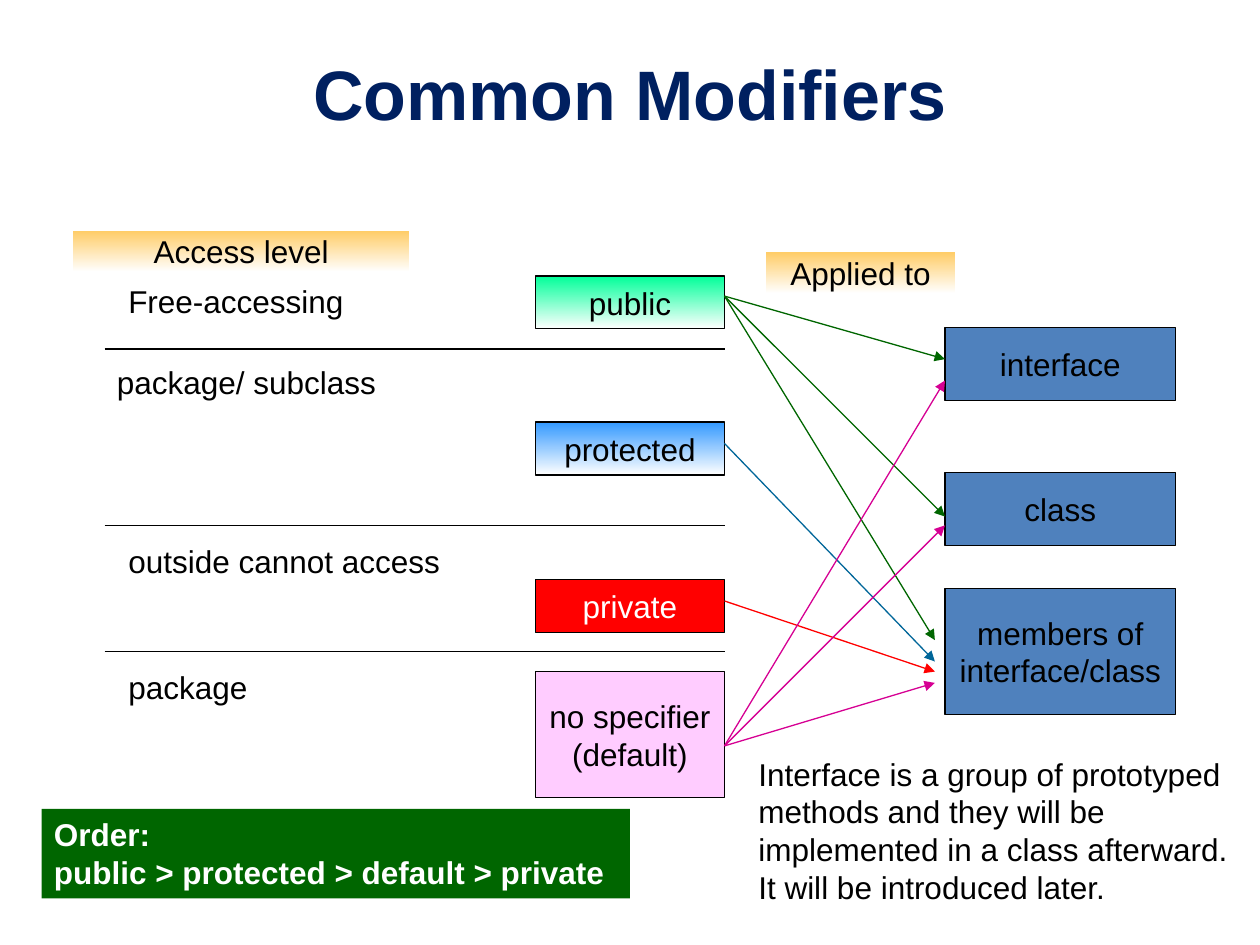
from lxml.etree import SubElement
from pptx import Presentation
from pptx.dml.color import RGBColor
from pptx.enum.shapes import MSO_CONNECTOR, MSO_SHAPE
from pptx.enum.text import MSO_ANCHOR, PP_ALIGN
from pptx.oxml.ns import qn
from pptx.util import Inches, Pt

BLACK = RGBColor(0x00, 0x00, 0x00)
WHITE = RGBColor(0xFF, 0xFF, 0xFF)
NAVY = RGBColor(0x00, 0x20, 0x60)
AMBER = RGBColor(0xFF, 0xCC, 0x66)
MINT = RGBColor(0x00, 0xFF, 0x99)
SKY = RGBColor(0x33, 0x99, 0xFF)
RED = RGBColor(0xFF, 0x00, 0x00)
PINK = RGBColor(0xFF, 0xCC, 0xFF)
BLUE = RGBColor(0x4F, 0x81, 0xBD)
GREEN = RGBColor(0x00, 0x66, 0x00)
TEAL = RGBColor(0x00, 0x66, 0x99)
MAGENTA = RGBColor(0xD6, 0x00, 0x93)


def write(sp, text, color=BLACK, size=18, bold=False, align=PP_ALIGN.LEFT,
          anchor=MSO_ANCHOR.TOP, wrap=True):
    """Put formatted text into a shape."""
    tf = sp.text_frame
    tf.text = text
    tf.word_wrap = wrap
    tf.vertical_anchor = anchor
    for p in tf.paragraphs:
        p.alignment = align
        for r in p.runs:
            r.font.name = "Arial"
            r.font.size = Pt(size)
            r.font.bold = bold
            r.font.color.rgb = color


def add_text(s, x, y, w, h, text, **style):
    """Add a wrapping text box."""
    write(s.shapes.add_textbox(Inches(x), Inches(y), Inches(w), Inches(h)), text, **style)


def add_rect(s, x, y, w, h, fill, faded=False, outlined=True):
    """Add a rectangle with a plain fill or one fading to white downwards."""
    sp = s.shapes.add_shape(MSO_SHAPE.RECTANGLE, Inches(x), Inches(y), Inches(w), Inches(h))
    sp.shadow.inherit = False
    if faded:
        sp.fill.gradient()
        sp.fill.gradient_angle = 270
        for stop, color, position in zip(sp.fill.gradient_stops, (fill, WHITE), (0, 1)):
            stop.color.rgb = color
            stop.position = position
    else:
        sp.fill.solid()
        sp.fill.fore_color.rgb = fill
    if outlined:
        sp.line.color.rgb = BLACK
        sp.line.width = Pt(0.75)
    else:
        sp.line.fill.background()
    return sp


def add_label(s, x, y, w, h, text, fill, color=BLACK, **look):
    """Add a rectangle with centred text."""
    write(add_rect(s, x, y, w, h, fill, **look), text, color,
          align=PP_ALIGN.CENTER, anchor=MSO_ANCHOR.MIDDLE, wrap=False)


def add_line(s, x1, y1, x2, y2, color=BLACK, arrow=False):
    """Add a thin straight line, with an arrowhead if asked."""
    c = s.shapes.add_connector(MSO_CONNECTOR.STRAIGHT, Inches(x1), Inches(y1),
                               Inches(x2), Inches(y2))
    c.line.color.rgb = color
    c.line.width = Pt(0.75)
    if arrow:
        SubElement(c.line._get_or_add_ln(), qn("a:tailEnd"), type="triangle")
    SubElement(c._element.spPr, qn("a:effectLst"))


def add_access_levels(s, x, y, w):
    """Place the access level header, its entries and the dividing lines."""
    add_label(s, x, y, 2.67, 0.33, "Access level", AMBER, faded=True, outlined=False)
    for dx, dy, text in [(0.34, 0.36, "Free-accessing"), (0.25, 1, "package/ subclass"),
                         (0.34, 2.42, "outside cannot access"), (0.34, 3.42, "package")]:
        add_text(s, x + dx, y + dy, 3, 0.4, text)
    for dy in (0.94, 2.34, 3.34):
        add_line(s, x + 0.25, y + dy, x + w, y + dy)


def add_modifiers(s, x, y, w):
    """Place the column of modifiers."""
    for dy, h, text, fill, color, faded in [
            (0, 0.42, "public", MINT, BLACK, True),
            (1.16, 0.42, "protected", SKY, BLACK, True),
            (2.41, 0.42, "private", RED, WHITE, False),
            (3.14, 1, "no specifier\n(default)", PINK, BLACK, False)]:
        add_label(s, x, y + dy, w, h, text, fill, color, faded=faded)


def add_targets(s, x, y, w):
    """Place the header and the elements that modifiers apply to."""
    add_label(s, x, y, 1.5, 0.33, "Applied to", AMBER, faded=True, outlined=False)
    for dy, h, text in [(0.6, 0.58, "interface"), (1.75, 0.58, "class"),
                        (2.67, 1, "members of\ninterface/class")]:
        add_label(s, x + 1.42, y + dy, w - 1.42, h, text, BLUE)


def add_arrows(s, x, y, w):
    """Fan arrows out from each modifier to its targets."""
    gap = 0.08
    for start, color, ends in [
            (0, GREEN, [(w, 0.5), (w, 1.75), (w - gap, 2.73)]),
            (2.42, RED, [(w - gap, 2.98)]),
            (1.17, TEAL, [(w - gap, 2.9)]),
            (3.57, MAGENTA, [(w, 0.67), (w, 1.82), (w - gap, 3.07)])]:
        for dx, dy in ends:
            add_line(s, x, y + start, x + dx, y + dy, color, arrow=True)


def add_order(s, x, y, w, h):
    """Place the banner that ranks the modifiers."""
    write(add_rect(s, x, y, w, h, GREEN, outlined=False),
          "Order:\npublic > protected > default > private", WHITE, bold=True)


def main():
    """Build and save the slide."""
    prs = Presentation()
    prs.slide_width, prs.slide_height = Inches(10), Inches(7.5)
    s = prs.slides.add_slide(prs.slide_layouts[6])
    add_text(s, 0.5, 0.3, 9, 0.87, "Common Modifiers", color=NAVY, size=40, bold=True,
             align=PP_ALIGN.CENTER, anchor=MSO_ANCHOR.MIDDLE)
    add_access_levels(s, 0.58, 1.83, 5.17)
    add_modifiers(s, 4.25, 2.19, 1.5)
    add_targets(s, 6.08, 2, 3.25)
    add_arrows(s, 5.75, 2.35, 1.75)
    add_text(s, 5.92, 5.94, 4.08, 1.31,
             "Interface is a group of prototyped methods and they will be "
             "implemented in a class afterward. It will be introduced later.")
    add_order(s, 0.33, 6.42, 4.67, 0.71)
    prs.save("out.pptx")


if __name__ == "__main__":
    main()
